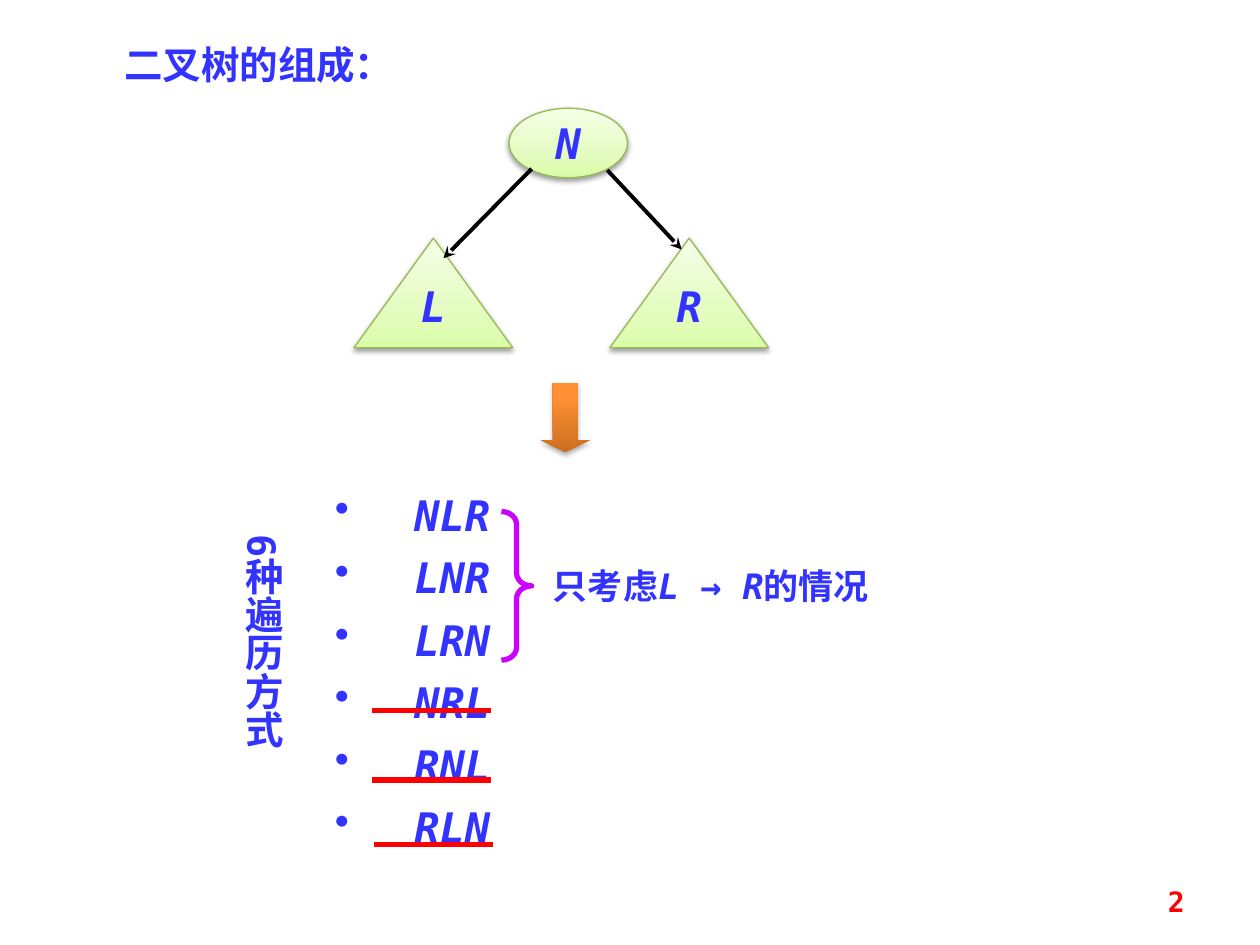
from dataclasses import dataclass

import pptx
import pptx.dml.color
import pptx.enum.shapes
import pptx.enum.text
import pptx.oxml
import pptx.oxml.ns
import pptx.util
from pptx.util import Inches

SHAPE = pptx.enum.shapes.MSO_SHAPE
ALIGN = pptx.enum.text.PP_ALIGN
ANCHOR = pptx.enum.text.MSO_ANCHOR
Pt = pptx.util.Pt
qn = pptx.oxml.ns.qn

MONO, SERIF = "DejaVu Sans Mono", "Times New Roman"
BLUE, RED, PURPLE, BLACK = "3333FF", "FF0000", "CC00FF", "000000"
GREEN_STOPS = [(0, "DAFDA7"), (35, "E4FCC2"), (100, "F5FFE7")]
ORANGE_STOPS = [(0, "CC6E20"), (80, "FF9034"), (100, "FF9136")]


@dataclass
class Node:
    text: str
    kind: int
    x: float
    y: float
    w: float
    h: float
    spacing: float | None = None


@dataclass
class Line:
    x1: float
    y1: float
    x2: float
    y2: float
    color: str
    width: float
    arrow: bool = False


NODES = [
    Node("N", SHAPE.OVAL, 4.04, 0.86, 0.94, 0.55),
    Node("L", SHAPE.ISOSCELES_TRIANGLE, 2.81, 1.89, 1.26, 0.87, 12),
    Node("R", SHAPE.ISOSCELES_TRIANGLE, 4.84, 1.89, 1.26, 0.87, 12),
]
BRANCHES = [
    Line(4.22, 1.34, 3.52, 2.05, BLACK, 2.25, True),
    Line(4.82, 1.35, 5.41, 1.98, BLACK, 2.25, True),
]
STRIKES = [
    Line(2.95, 5.64, 3.9, 5.64, RED, 3),
    Line(2.95, 6.19, 3.9, 6.19, RED, 3),
    Line(2.97, 6.7, 3.91, 6.7, RED, 3),
]
ORDERS = ["NLR", "LNR", "LRN", "NRL", "RNL", "RLN"]


def rgb(color: str):
    return pptx.dml.color.RGBColor.from_string(color)


def xml(tag: str, attrs: str, inner: str = ""):
    return pptx.oxml.parse_xml(
        f'<a:{tag} {pptx.oxml.ns.nsdecls("a")} {attrs}>{inner}</a:{tag}>')


def add_run(p, text: str, *, size: float, font: str = MONO, color: str = BLUE,
            bold: bool = True, italic: bool = False):
    r = p.add_run()
    r.text = text
    r.font.size, r.font.name = Pt(size), font
    r.font.bold, r.font.italic = bold, italic
    r.font.color.rgb = rgb(color)
    return r


def add_text(s, x: float, y: float, w: float, h: float, text: str = "", *,
             align=ALIGN.LEFT, anchor=ANCHOR.TOP, **fmt):
    tf = s.shapes.add_textbox(Inches(x), Inches(y), Inches(w), Inches(h)).text_frame
    tf.word_wrap, tf.vertical_anchor = True, anchor
    p = tf.paragraphs[0]
    p.alignment = align
    if text:
        add_run(p, text, **fmt)
    return tf


def add_shape(s, kind, x: float, y: float, w: float, h: float):
    sp = s.shapes.add_shape(kind, Inches(x), Inches(y), Inches(w), Inches(h))
    sp.shadow.inherit = False
    return sp


def shade(sp, stops, alpha: int, dist: float) -> None:
    """Vertical gradient, first stop at the bottom, with a soft shadow below."""
    sp.fill.gradient()
    sp.fill.gradient_angle = 90
    gs_list = sp._element.spPr.find(".//" + qn("a:gsLst"))
    for gs in list(gs_list):
        gs_list.remove(gs)
    for pos, color in stops:
        gs_list.append(xml("gs", f'pos="{pos * 1000}"', f'<a:srgbClr val="{color}"/>'))
    sp._element.spPr.find(qn("a:effectLst")).append(xml(
        "outerShdw",
        f'blurRad="{Pt(3.1)}" dist="{Pt(dist)}" dir="5400000" rotWithShape="0"',
        f'<a:srgbClr val="000000"><a:alpha val="{alpha * 1000}"/></a:srgbClr>'))


def add_node(s, node: Node) -> None:
    sp = add_shape(s, node.kind, node.x, node.y, node.w, node.h)
    shade(sp, GREEN_STOPS, 38, 1.6)
    sp.line.color.rgb, sp.line.width = rgb("98B955"), Pt(0.75)
    tf = sp.text_frame
    tf.word_wrap, tf.vertical_anchor = False, ANCHOR.MIDDLE
    p = tf.paragraphs[0]
    p.alignment = ALIGN.CENTER
    if node.spacing:
        p.line_spacing = Pt(node.spacing)
    add_run(p, node.text, size=24, italic=True)


def add_line(s, line: Line) -> None:
    cx = s.shapes.add_connector(
        pptx.enum.shapes.MSO_CONNECTOR.STRAIGHT,
        Inches(line.x1), Inches(line.y1), Inches(line.x2), Inches(line.y2))
    cx.line.color.rgb, cx.line.width = rgb(line.color), Pt(line.width)
    sp_pr = cx._element.spPr
    if line.arrow:
        sp_pr.find(qn("a:ln")).append(xml("tailEnd", 'type="stealth"'))
    sp_pr.append(xml("effectLst", ""))


def add_orders(s) -> None:
    tf = add_text(s, 2.56, 3.91, 1.73, 3.05)
    for i, order in enumerate(ORDERS):
        p = tf.add_paragraph() if i else tf.paragraphs[0]
        p.line_spacing, p.space_before = 0.8, Pt(12.7)
        p_pr = p._p.get_or_add_pPr()
        p_pr.set("marL", str(Inches(0.63)))
        p_pr.set("indent", str(-Inches(0.63)))
        p_pr.append(xml("buChar", 'char="•"'))
        add_run(p, order, size=24, italic=True)


def main() -> None:
    prs = pptx.Presentation()
    prs.slide_width, prs.slide_height = Inches(10), Inches(7.5)
    s = prs.slides.add_slide(prs.slide_layouts[6])

    # Tree
    for node in NODES:
        add_node(s, node)
    for branch in BRANCHES:
        add_line(s, branch)

    # Title
    add_text(s, 0.6, 0.28, 2.91, 0.47, "二叉树的组成：",
             align=ALIGN.CENTER, size=22, font=SERIF)

    # Arrow from the tree to the traversal orders
    arrow = add_shape(s, SHAPE.DOWN_ARROW, 4.29, 3.04, 0.39, 0.55)
    arrow.adjustments[0], arrow.adjustments[1] = 0.5, 0.25
    shade(arrow, ORANGE_STOPS, 35, 1.8)
    arrow.line.fill.background()

    # Traversal orders, with the last three struck out
    add_orders(s)
    tf = add_text(s, 1.75, 4.14, 0.57, 2.6, "6种遍历方式", align=ALIGN.CENTER, size=22)
    tf._txBody.bodyPr.set("vert", "eaVert")
    for strike in STRIKES:
        add_line(s, strike)

    # Brace and its remark
    p = add_text(s, 4.29, 4.43, 3.21, 0.44).paragraphs[0]
    for text, italic in [("只考虑", False), ("L ", True), ("→ ", False),
                         ("R", True), ("的情况", False)]:
        add_run(p, text, size=20, italic=italic)
    brace = add_shape(s, SHAPE.RIGHT_BRACE, 3.98, 4.06, 0.24, 1.18)
    brace.adjustments[0], brace.adjustments[1] = 0.42, 0.5
    brace.fill.background()
    brace.line.color.rgb, brace.line.width = rgb(PURPLE), Pt(3)

    # Page number
    add_text(s, 7.17, 6.95, 2.33, 0.4, "2", align=ALIGN.RIGHT,
             anchor=ANCHOR.MIDDLE, size=16, color=RED)

    prs.save("out.pptx")


if __name__ == "__main__":
    main()
